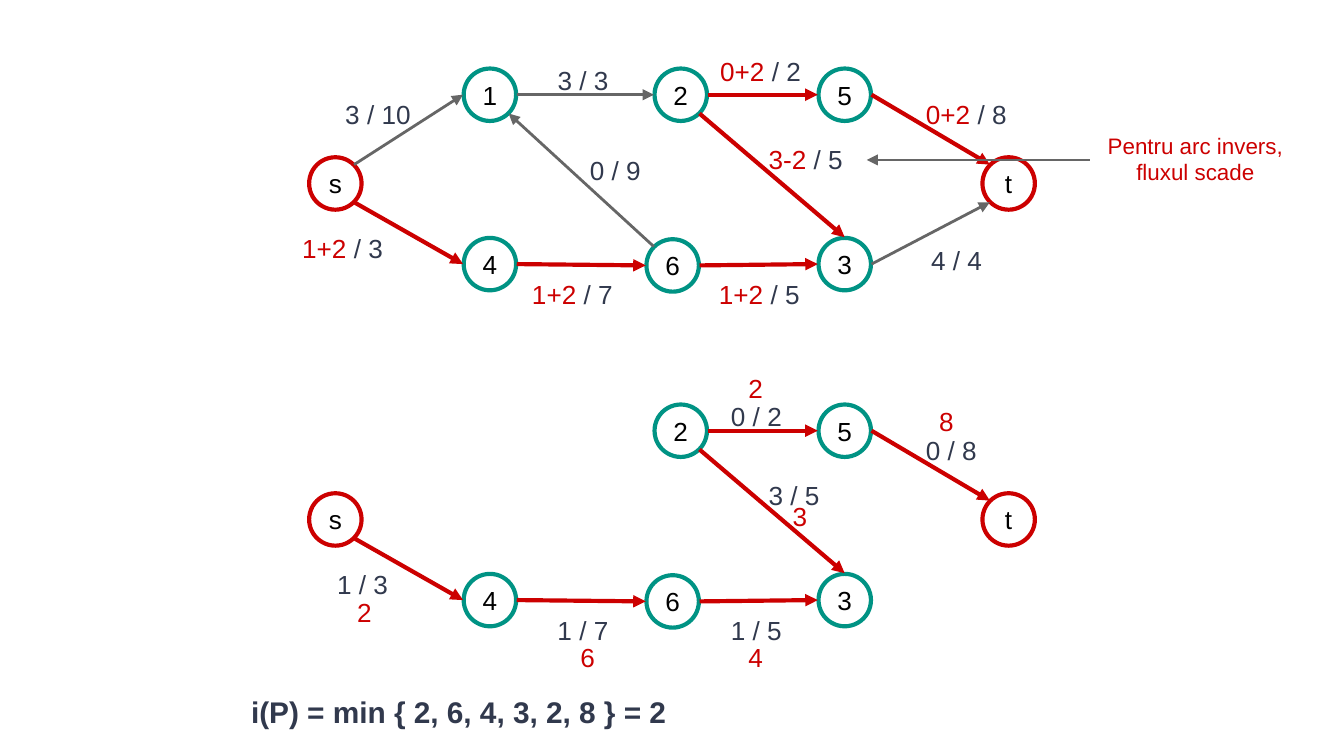
from lxml import etree
from pptx import Presentation
from pptx import util as u
from pptx.dml.color import RGBColor
from pptx.enum import shapes, text
from pptx.oxml import ns

RED, TEAL, GRAY, DARK = "CC0000", "009384", "666666", "31394D"
BLACK, WHITE = "000000", "FFFFFF"
SIZE = 0.39
SITES = {"N": (0, -0.2), "E": (0.2, 0), "W": (-0.2, 0), "NE": (0.14, -0.14),
         "NW": (-0.14, -0.14), "SE": (0.14, 0.14), "SW": (-0.14, 0.14)}
NODES = {"s": (2.3, 1.17), "1": (3.45, 0.51), "2": (4.87, 0.51), "5": (6.09, 0.51),
         "t": (7.31, 1.17), "4": (3.45, 1.77), "6": (4.81, 1.78), "3": (6.09, 1.77)}
PATH_EDGES = [("s", "SE", "4", "W"), ("4", "E", "6", "W"), ("6", "E", "3", "W"),
              ("2", "SE", "3", "N"), ("2", "E", "5", "W"), ("5", "E", "t", "NW")]
OTHER_EDGES = [("s", "NE", "1", "W"), ("1", "E", "2", "W"),
               ("6", "NW", "1", "SE"), ("3", "E", "t", "SW")]
NETWORK_GAP = 2.5

FLOW_LABELS = [
    (5.26, 0.31, 0.83, "0+2 ", "/ 2"), (5.25, 1.97, 0.83, "1+2 ", "/ 5"),
    (3.86, 1.97, 0.88, "1+2 ", "/ 7"), (6.79, 0.63, 0.82, "0+2 ", "/ 8"),
    (2.15, 1.63, 0.88, "1+2 ", "/ 3"), (5.62, 0.97, 0.83, "3-2", " / 5"),
]
CAPACITY_LABELS = [
    (6.83, 1.72, 0.74, "4 / 4"), (4.05, 0.38, 0.71, "3 / 3"),
    (4.29, 1.05, 0.63, "0 / 9"), (2.47, 0.63, 0.82, "3 / 10"),
    (2.41, 4.13, 0.63, "1 / 3"), (4.05, 4.47, 0.63, "1 / 7"),
    (5.34, 4.47, 0.66, "1 / 5"), (5.62, 3.47, 0.83, "3 / 5"),
    (5.34, 2.88, 0.59, "0 / 2"), (6.79, 3.13, 0.63, "0 / 8"),
]
RESIDUAL_LABELS = [
    (2.56, 4.34, 0.33, "2"), (5.8, 3.62, 0.96, "3"), (4.22, 4.67, 0.33, "6"),
    (5.47, 4.67, 0.33, "4"), (5.47, 2.67, 0.33, "2"), (6.89, 2.92, 0.33, "8"),
]


def rgb(value):
    return RGBColor.from_string(value)


class Sketch:
    font = "Arial"

    def __init__(self, s):
        self.s = s

    def format_run(self, r, color, size=14, bold=False):
        r.font.name = self.font
        r.font.size = u.Pt(size)
        r.font.bold = bold
        r.font.color.rgb = rgb(color)

    def set_margins(self, tf, margin):
        tf.margin_left = tf.margin_right = u.Inches(margin)
        tf.margin_top = tf.margin_bottom = u.Inches(margin)

    def node(self, x, y, name):
        sp = self.s.shapes.add_shape(shapes.MSO_SHAPE.OVAL, u.Inches(x), u.Inches(y),
                                     u.Inches(SIZE), u.Inches(SIZE))
        sp.shadow.inherit = False
        sp.fill.solid()
        sp.fill.fore_color.rgb = rgb(WHITE)
        sp.line.color.rgb = rgb(RED if name in "st" else TEAL)
        sp.line.width = u.Pt(2.25)
        tf = sp.text_frame
        tf.text = name
        tf.vertical_anchor = text.MSO_ANCHOR.MIDDLE
        self.set_margins(tf, 0.02)
        p = tf.paragraphs[0]
        p.alignment = text.PP_ALIGN.CENTER
        self.format_run(p.runs[0], BLACK)

    def arrow(self, start, end, color, width, kind=shapes.MSO_CONNECTOR.STRAIGHT):
        c = self.s.shapes.add_connector(kind, *(u.Inches(v) for v in (*start, *end)))
        c.line.color.rgb = rgb(color)
        c.line.width = u.Pt(width)
        pr = c._element.spPr
        tail = etree.SubElement(pr.get_or_add_ln(), ns.qn("a:tailEnd"))
        tail.set("type", "triangle")
        etree.SubElement(pr, ns.qn("a:effectLst"))

    def label(self, x, y, w, parts, h=0.44, size=14, bold=False,
              align=text.PP_ALIGN.LEFT):
        sp = self.s.shapes.add_textbox(*(u.Inches(v) for v in (x, y, w, h)))
        tf = sp.text_frame
        tf.word_wrap = True
        tf.auto_size = text.MSO_AUTO_SIZE.SHAPE_TO_FIT_TEXT
        self.set_margins(tf, 0.1)
        p = tf.paragraphs[0]
        p.alignment = align
        for words, color in parts:
            r = p.add_run()
            r.text = words
            self.format_run(r, color, size, bold)

    def network(self, names, edges, drop=0):
        for name in names:
            x, y = NODES[name]
            self.node(x, y + drop, name)
        for (a, a_site, b, b_site), color, width in edges:
            ends = []
            for name, site in ((a, a_site), (b, b_site)):
                x, y = NODES[name]
                dx, dy = SITES[site]
                ends.append((x + SIZE / 2 + dx, y + SIZE / 2 + dy + drop))
            self.arrow(*ends, color, width)


def main():
    prs = Presentation()
    prs.slide_width = u.Inches(10)
    prs.slide_height = prs.slide_width * 9 // 16
    sketch = Sketch(prs.slides.add_slide(prs.slide_layouts[6]))

    path_edges = [(edge, RED, 2.25) for edge in PATH_EDGES]
    other_edges = [(edge, GRAY, 1.5) for edge in OTHER_EDGES]
    sketch.network(NODES, other_edges + path_edges)
    sketch.network([n for n in NODES if n != "1"], path_edges, NETWORK_GAP)

    for x, y, w, flow, capacity in FLOW_LABELS:
        sketch.label(x, y, w, [(flow, RED), (capacity, DARK)])
    for labels, color in ((CAPACITY_LABELS, DARK), (RESIDUAL_LABELS, RED)):
        for x, y, w, words in labels:
            sketch.label(x, y, w, [(words, color)])

    sketch.label(1.77, 5.06, 3.43, [("i(P) = min { 2, 6, 4, 3, 2, 8 } = 2", DARK)],
                 h=0.47, size=16, bold=True)
    sketch.label(8.11, 0.88, 1.57, [("Pentru arc invers, fluxul scade", RED)],
                 h=0.61, size=12, align=text.PP_ALIGN.CENTER)
    sketch.arrow((8.11, 1.19), (6.45, 1.19), GRAY, 0.75, shapes.MSO_CONNECTOR.ELBOW)

    prs.save("out.pptx")


if __name__ == "__main__":
    main()
